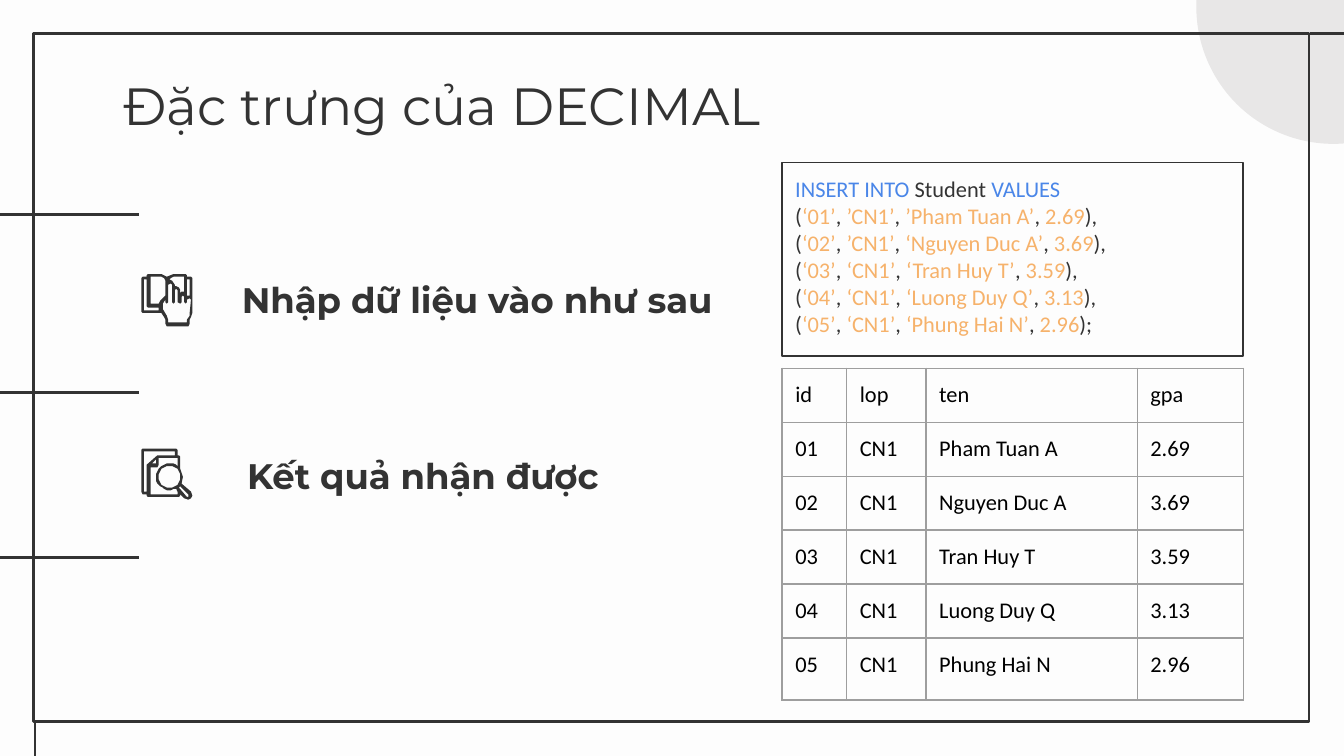
from dataclasses import dataclass
from math import cos, radians, sin

from lxml.etree import SubElement
from pptx import Presentation
from pptx.dml.color import RGBColor
from pptx.enum.shapes import MSO_CONNECTOR, MSO_SHAPE
from pptx.enum.text import MSO_ANCHOR
from pptx.oxml.ns import qn
from pptx.util import Cm, Pt


@dataclass(frozen=True)
class Theme:
    paper: str = "FDFDFD"
    ink: str = "333333"
    disc: str = "E8E7E7"
    keyword: str = "4A86E8"
    literal: str = "F6B26B"
    cell: str = "000000"
    grid: str = "9E9E9E"
    heading_font: str = "Montserrat"
    body_font: str = "Calibri"
    title: float = 28
    label: float = 19
    body: float = 12
    frame: float = 1.5
    thin: float = 0.75


T = Theme()
INSET = Cm(0.25)
ICON_UNIT = 9144  # EMU per icon grid step

# id, lop, ten, gpa, opening quote of lop, opening quote of ten
STUDENTS = [
    ("01", "CN1", "Pham Tuan A", "2.69", "’", "’"),
    ("02", "CN1", "Nguyen Duc A", "3.69", "’", "‘"),
    ("03", "CN1", "Tran Huy T", "3.59", "‘", "‘"),
    ("04", "CN1", "Luong Duy Q", "3.13", "‘", "‘"),
    ("05", "CN1", "Phung Hai N", "2.96", "‘", "‘"),
]


def arc(cx, cy, r, start, end, steps=24):
    angles = [radians(start + (end - start) * i / steps) for i in range(steps + 1)]
    return [(cx + r * cos(a), cy + r * sin(a)) for a in angles]


# Each icon is an outer contour followed by its holes.
BOOK_ICON = [
    [(5, 0), (4, 1), (4, 2), (1, 2), (0, 3), (0, 28), (1, 29), (15, 29), (17, 32),
     (18, 34), (18, 37), (19, 39), (35, 39), (36, 37), (36, 34), (37, 32), (38, 29),
     (38, 3), (37, 2), (34, 2), (34, 1), (33, 0), (24, 0), (19, 2), (15, 0)],
    [(32, 2), (32, 13), (30, 13), (29, 14), (29, 12), (28, 10), (26, 9), (25, 9),
     (25, 8), (23, 5), (21, 4), (20, 5), (22, 3), (24, 2)],
    [(36, 4), (36, 16), (34, 16), (34, 4)],
    [(15, 2), (17, 3), (18, 5), (18, 16), (14, 20), (13, 22), (7, 22), (7, 2)],
    [(4, 4), (4, 24), (5, 25), (13, 25), (13, 27), (2, 27), (2, 4)],
    [(22, 7), (23, 8), (23, 21), (24, 22), (25, 21), (25, 12), (26, 11), (27, 12),
     (27, 21), (29, 22), (30, 21), (30, 17), (31, 16), (32, 17), (32, 21), (33, 22),
     (34, 21), (34, 19), (36, 18), (37, 19), (36, 29), (36, 31), (34, 34), (34, 36),
     (20, 36), (20, 34), (19, 31), (16, 26), (16, 22), (18, 19), (18, 21), (19, 22),
     (20, 21), (20, 8)],
]
SEARCH_ICON = [
    [(1, 0), (0, 1), (0, 32), (1, 34), (4, 34), (4, 35), (5, 36), (28, 36), (29, 35),
     (29, 34), (32, 37), (35, 38), (37, 37), (38, 35), (37, 32), (30, 26), (31, 21),
     (29, 15), (29, 6), (28, 5), (27, 5), (27, 1), (26, 0)],
    [(11, 8), (11, 11), (8, 11)],
    arc(21, 21, 8, 0, 360),
    [(25, 2), (25, 5), (12, 5), (4, 12), (4, 32), (2, 32), (2, 2)],
    [(27, 7), *arc(21, 21, 10, -53, -299), (27, 32), (27, 34), (7, 34), (7, 14),
     (12, 14), (13, 12), (13, 7)],
    [(29, 28), (35, 34), (35, 36), (34, 36), (28, 29)],
]


def rgb(color):
    return RGBColor.from_string(color)


def add_run(p, text, size=T.body, font=T.body_font, color=T.ink, bold=False):
    r = p.add_run()
    r.text = text
    r.font.size, r.font.name, r.font.bold = Pt(size), font, bold
    r.font.color.rgb = rgb(color)


def set_frame(tf, anchor=MSO_ANCHOR.TOP):
    tf.word_wrap = True
    tf.vertical_anchor = anchor
    tf.margin_left = tf.margin_right = tf.margin_top = tf.margin_bottom = INSET


def add_title(s, text):
    sp = s.shapes.title
    sp.left, sp.top, sp.width, sp.height = Cm(2.08), Cm(1.14), Cm(14.05), Cm(1.7)
    set_frame(sp.text_frame)
    p = sp.text_frame.paragraphs[0]
    p.alignment = 1
    add_run(p, text, size=T.title, font=T.heading_font)


def add_label(s, text, x, y, w):
    tf = s.shapes.add_textbox(Cm(x), Cm(y), Cm(w), Cm(1.32)).text_frame
    set_frame(tf, MSO_ANCHOR.BOTTOM)
    p = tf.paragraphs[0]
    p.line_spacing = 1.15
    add_run(p, text, size=T.label, font=T.heading_font, bold=True)


def add_shape(s, kind, x, y, w, h, fill=None, line=None, width=T.frame):
    sp = s.shapes.add_shape(kind, Cm(x), Cm(y), Cm(w), Cm(h))
    sp.shadow.inherit = False
    for paint, color in ((sp.fill, fill), (sp.line.fill, line)):
        if color:
            paint.solid()
            paint.fore_color.rgb = rgb(color)
        else:
            paint.background()
    if line:
        sp.line.width = Pt(width)
    return sp


def add_line(s, x1, y1, x2, y2):
    c = s.shapes.add_connector(MSO_CONNECTOR.STRAIGHT, Cm(x1), Cm(y1), Cm(x2), Cm(y2))
    c.line.color.rgb = rgb(T.ink)
    c.line.width = Pt(T.frame)
    SubElement(c._element.spPr, qn("a:effectLst"))


def add_icon(s, contours, x, y):
    first, *holes = contours
    builder = s.shapes.build_freeform(*first[0], scale=ICON_UNIT)
    builder.add_line_segments(first[1:])
    for hole in holes:
        builder.move_to(*hole[0])
        builder.add_line_segments(hole[1:])
    sp = builder.convert_to_shape(Cm(x), Cm(y))
    sp.shadow.inherit = False
    sp.fill.solid()
    sp.fill.fore_color.rgb = rgb(T.ink)
    sp.line.fill.background()


def add_code(s):
    sp = add_shape(s, MSO_SHAPE.RECTANGLE, 14.78, 3.07, 8.71, 3.66, line=T.ink, width=T.thin)
    tf = sp.text_frame
    set_frame(tf)
    lines = [[("INSERT INTO", T.keyword), (" Student ", T.ink), ("VALUES", T.keyword)]]
    for number, lop, ten, gpa, q_lop, q_ten in STUDENTS:
        end = ");" if number == STUDENTS[-1][0] else "),"
        values = (f"‘{number}’", f"{q_lop}{lop}’", f"{q_ten}{ten}’", gpa)
        parts = [("(", T.ink)]
        for value, mark in zip(values, (", ", ", ", ", ", end)):
            parts += [(value, T.literal), (mark, T.ink)]
        lines.append(parts)
    for i, parts in enumerate(lines):
        p = tf.add_paragraph() if i else tf.paragraphs[0]
        p.alignment = 1
        for text, color in parts:
            add_run(p, text, color=color)


def set_borders(cell):
    tc_pr = cell._tc.get_or_add_tcPr()
    for i, side in enumerate(("lnL", "lnR", "lnT", "lnB")):
        ln = tc_pr.makeelement(qn(f"a:{side}"), {"w": str(Pt(T.thin))})
        SubElement(SubElement(ln, qn("a:solidFill")), qn("a:srgbClr"), val=T.grid)
        tc_pr.insert(i, ln)


def add_student_table(s):
    rows = [("id", "lop", "ten", "gpa"), *(student[:4] for student in STUDENTS)]
    widths = (1.22, 1.5, 3.99, 2.01)
    heights = [1.02] * 5 + [1.17]
    table = s.shapes.add_table(len(rows), len(widths), Cm(14.78), Cm(6.96),
                               Cm(sum(widths)), Cm(sum(heights))).table
    table.first_row = table.horz_banding = False
    for col, w in zip(table.columns, widths):
        col.width = Cm(w)
    for row, h, values in zip(table.rows, heights, rows):
        row.height = Cm(h)
        for cell, value in zip(row.cells, values):
            cell.fill.background()
            cell.margin_left = cell.margin_right = INSET
            cell.margin_top = cell.margin_bottom = INSET
            add_run(cell.text_frame.paragraphs[0], value, color=T.cell)
            set_borders(cell)


def add_decor(s):
    add_shape(s, MSO_SHAPE.OVAL, 22.61, -2.46, 5.18, 5.18, fill=T.disc)
    for y in (4.06, 7.42, 10.54):
        add_line(s, 0, y, 2.62, y)
    add_shape(s, MSO_SHAPE.RECTANGLE, 0.64, 0.64, 24.1, 13, line=T.ink)
    add_line(s, 25.6, 0.64, 24.76, 0.64)
    add_line(s, 0.66, 13.66, 0.66, 14.53)


def main():
    prs = Presentation()
    prs.slide_width, prs.slide_height = Cm(25.4), Cm(14.29)
    s = prs.slides.add_slide(prs.slide_layouts[5])
    s.background.fill.solid()
    s.background.fill.fore_color.rgb = rgb(T.paper)
    add_decor(s)
    add_title(s, "Đặc trưng của DECIMAL")
    add_label(s, "Nhập dữ liệu vào như sau", 4.32, 5, 13.54)
    add_label(s, "Kết quả nhận được", 4.42, 8.31, 7.37)
    add_icon(s, SEARCH_ICON, 2.67, 8.48)
    add_icon(s, BOOK_ICON, 2.67, 5.18)
    add_code(s)
    add_student_table(s)
    prs.save("out.pptx")


if __name__ == "__main__":
    main()
